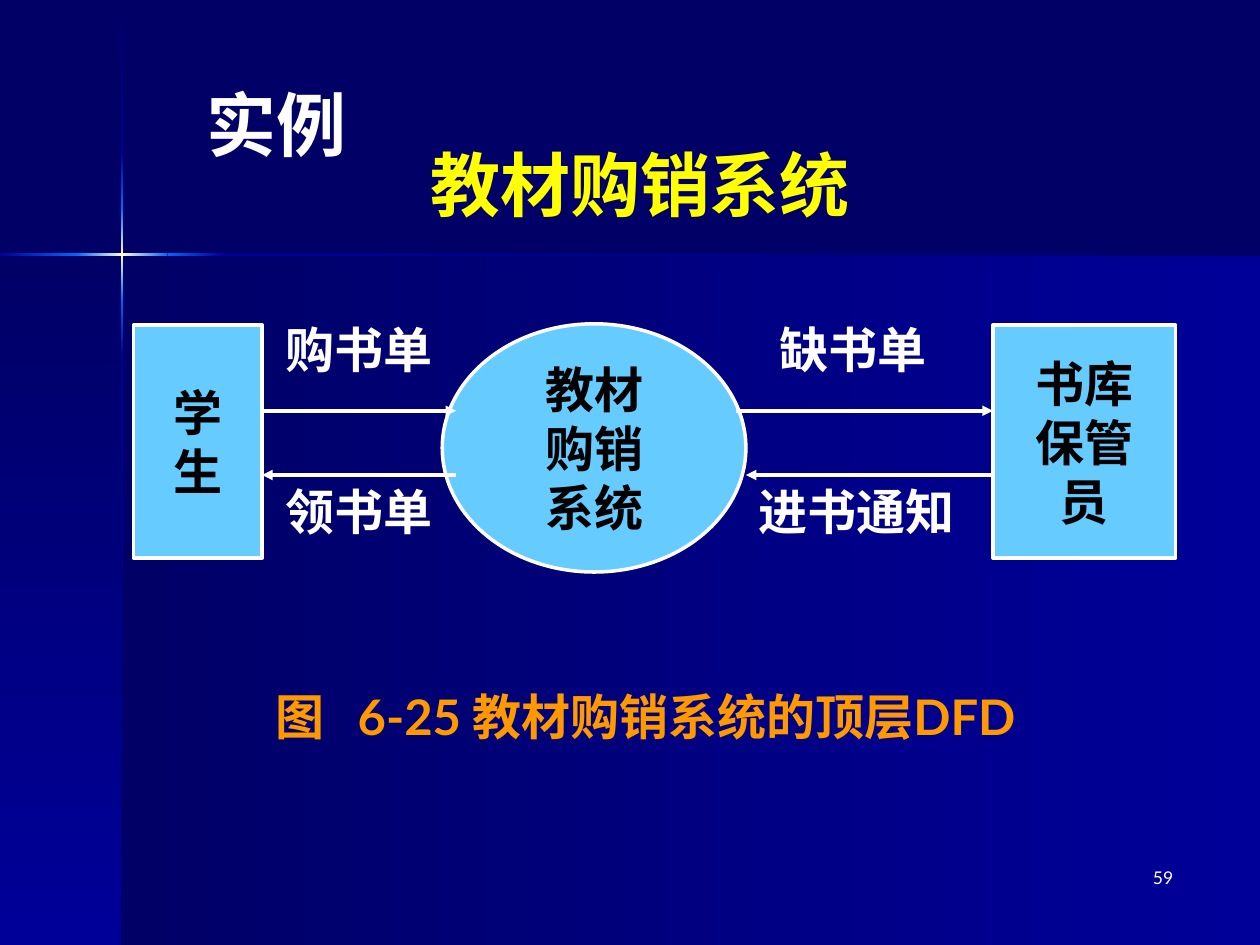
from lxml import etree
from pptx import Presentation
from pptx.dml.color import RGBColor
from pptx.enum.shapes import MSO_CONNECTOR, MSO_SHAPE
from pptx.enum.text import MSO_ANCHOR, MSO_AUTO_SIZE, PP_ALIGN
from pptx.oxml.ns import qn
from pptx.util import Inches, Pt

RECTANGLE = MSO_SHAPE.RECTANGLE
ELLIPSE = MSO_SHAPE.OVAL
STRAIGHT = MSO_CONNECTOR.STRAIGHT
LEFT, CENTER, RIGHT = PP_ALIGN.LEFT, PP_ALIGN.CENTER, PP_ALIGN.RIGHT
TOP, MIDDLE = MSO_ANCHOR.TOP, MSO_ANCHOR.MIDDLE
FIXED = MSO_AUTO_SIZE.NONE

FONT = "Lato"
NAVY, BLUE, BRIGHT, CREAM = "000066", "000099", "0066FF", "FFFFCC"
WHITE, BLACK, YELLOW, ORANGE, SKY = "FFFFFF", "000000", "FFFF00", "FF9900", "66CCFF"


def color(value):
    return RGBColor.from_string(value)


def write_text(shape, lines, size, text_color, align=LEFT, anchor=TOP, bold=True, wrap=True):
    frame = shape.text_frame
    frame.auto_size = FIXED
    frame.word_wrap = wrap
    frame.vertical_anchor = anchor
    for index, line in enumerate(lines):
        paragraph = frame.add_paragraph() if index else frame.paragraphs[0]
        paragraph.alignment = align
        run = paragraph.add_run()
        run.text = line
        run.font.name = FONT
        run.font.size = Pt(size)
        run.font.bold = bold
        run.font.color.rgb = color(text_color)


def add_text(slide, box, lines, size, text_color, **options):
    shape = slide.shapes.add_textbox(*map(Inches, box))
    write_text(shape, lines, size, text_color, **options)
    return shape


def add_gradient(slide, box, start, end, angle):
    shape = slide.shapes.add_shape(RECTANGLE, *map(Inches, box))
    shape.shadow.inherit = False
    shape.line.fill.background()
    shape.fill.gradient()
    shape.fill.gradient_angle = angle
    for stop, value in zip(shape.fill.gradient_stops, (start, end)):
        stop.color.rgb = color(value)


def add_backdrop(slide, box):
    left, top, width, height = box
    cross_x, cross_y, thickness = 0.96, 2.01, 0.02
    right, bottom = left + width, top + height
    panel_x, panel_y = left + cross_x + 0.01, top + cross_y + 0.01
    add_gradient(slide, (panel_x, panel_y, right - panel_x, bottom - panel_y), NAVY, BLUE, 0)
    add_gradient(slide, (left, panel_y, panel_x - left, bottom - panel_y), NAVY, BLUE, 270)

    colors = (NAVY, BLUE, BRIGHT, CREAM, BRIGHT, BLUE, NAVY)
    vertical_edges = (0.01, 1.21, 1.65, 2.02, 2.38, 2.82, height)
    for start, end, first, last in zip(vertical_edges, vertical_edges[1:], colors, colors[1:]):
        add_gradient(slide, (left + cross_x, top + start, thickness, end - start), first, last, 270)

    horizontal_edges = (0, 0.61, 0.97, 1.33, 1.77, width)
    for start, end, first, last in zip(horizontal_edges, horizontal_edges[1:], colors[1:], colors[2:]):
        add_gradient(slide, (left + start, top + cross_y, end - start, thickness), first, last, 0)


def add_headings(slide, box):
    left, top, width, height = box
    title = slide.shapes.title
    title.left, title.top = Inches(left), Inches(top + 0.47)
    title.width, title.height = Inches(width), Inches(height - 0.47)
    write_text(title, ["教材购销系统"], 40, YELLOW, align=CENTER)
    add_text(slide, (left + 0.87, top, 1.31, 0.77), ["实例"], 40, WHITE, align=CENTER, wrap=False)


def add_node(slide, kind, box, lines):
    shape = slide.shapes.add_shape(kind, *map(Inches, box))
    shape.shadow.inherit = False
    shape.fill.solid()
    shape.fill.fore_color.rgb = color(SKY)
    shape.line.color.rgb = color(WHITE)
    shape.line.width = Pt(2)
    write_text(shape, lines, 28, BLACK, align=CENTER, anchor=MIDDLE, wrap=False)


def add_arrow(slide, start_x, end_x, y):
    arrow = slide.shapes.add_connector(STRAIGHT, *map(Inches, (start_x, y, end_x, y)))
    arrow.line.color.rgb = color(WHITE)
    arrow.line.width = Pt(2)
    line = arrow.line._get_or_add_ln()
    etree.SubElement(line, qn("a:tailEnd"), type="triangle")
    etree.SubElement(arrow._element.spPr, qn("a:effectLst"))


def add_flow_diagram(slide, box):
    left, top, width, height = box
    rect_top, rect_height = top + 0.09, 1.85
    student_width, keeper_width = 1.02, 1.45
    student_right = left + student_width
    keeper_left = left + width - keeper_width
    system_left, system_width = left + 2.45, 2.41
    add_node(slide, ELLIPSE, (system_left, top + 0.08, system_width, height - 0.08),
             ["教材", "购销", "系统"])
    add_node(slide, RECTANGLE, (left, rect_top, student_width, rect_height), ["学", "生"])
    add_node(slide, RECTANGLE, (keeper_left, rect_top, keeper_width, rect_height),
             ["书库", "保管", "员"])

    upper, lower = top + 0.77, top + 1.28
    system_right = system_left + system_width
    add_arrow(slide, student_right, system_left + 0.11, upper)
    add_arrow(slide, system_right - 0.08, keeper_left, upper)
    add_arrow(slide, keeper_left, system_right, lower)
    add_arrow(slide, system_left + 0.11, student_right, lower)

    labels = [
        (1.11, top, 1.71, "购书单"),
        (1.11, lower, 1.88, "领书单"),
        (5.03, top, 1.53, "缺书单"),
        (4.86, lower, 2.24, "进书通知"),
    ]
    for offset, label_top, label_width, label in labels:
        add_text(slide, (left + offset, label_top, label_width, 0.57), [label], 28, WHITE)


def add_caption(slide, box):
    caption = add_text(slide, box, ["图\t6-25 教材购销系统的顶层DFD"], 28, ORANGE)
    properties = caption.text_frame.paragraphs[0]._p.get_or_add_pPr()
    tabs = etree.SubElement(properties, qn("a:tabLst"))
    etree.SubElement(tabs, qn("a:tab"), pos=str(Inches(0.65)), algn="l")


def add_page_number(slide, box):
    add_text(slide, box, ["59"], 10, WHITE, align=RIGHT, bold=False)


def main():
    presentation = Presentation()
    presentation.slide_width, presentation.slide_height = Inches(10), Inches(7.5)
    slide = presentation.slides.add_slide(presentation.slide_layouts[5])
    slide.background.fill.solid()
    slide.background.fill.fore_color.rgb = color(NAVY)
    add_backdrop(slide, (0, 0, 10, 7.5))
    add_headings(slide, (0.67, 0.6, 8.82, 1.4))
    add_flow_diagram(slide, (1.06, 2.49, 8.27, 2.05))
    add_caption(slide, (2.09, 5.4, 7.09, 0.6))
    add_page_number(slide, (7.33, 6.83, 2.08, 0.5))
    presentation.save("out.pptx")


if __name__ == "__main__":
    main()
